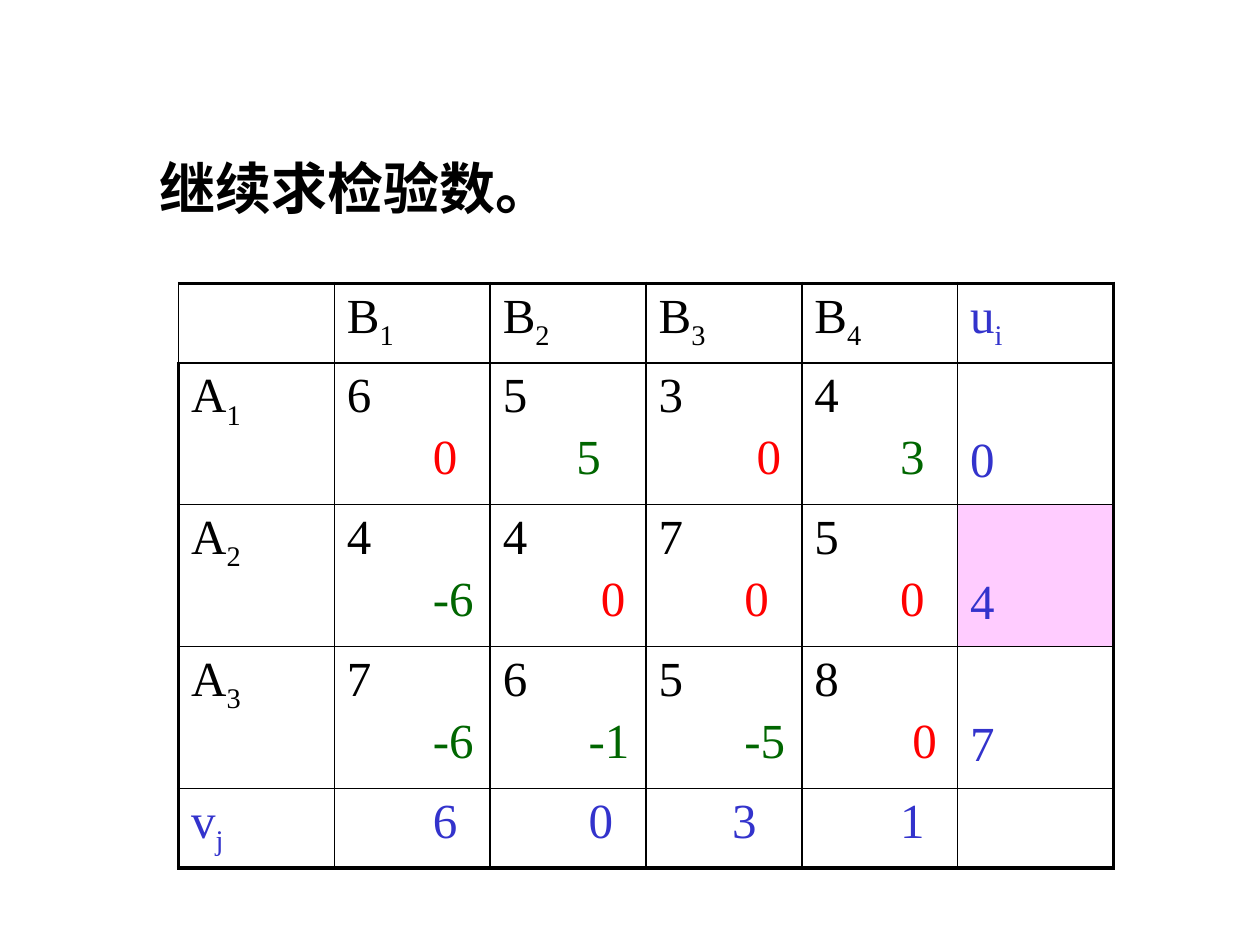
from lxml.etree import SubElement
from pptx import Presentation
from pptx.dml.color import RGBColor
from pptx.oxml.ns import qn
from pptx.util import Cm, Pt

BLACK, RED, GREEN, BLUE, PINK = "000000", "FF0000", "006600", "3333CC", "FFCCFF"
TITLE = "继续求检验数。"
DESTINATIONS = ["1", "2", "3", "4"]
# Each entry: cost, reduced cost, indent steps
SOURCES = [
    ("1", [("6", "0", 7), ("5", "5", 6), ("3", "0", 8), ("4", "3", 7)], "0"),
    ("2", [("4", "-6", 7), ("4", "0", 8), ("7", "0", 7), ("5", "0", 7)], "4"),
    ("3", [("7", "-6", 7), ("6", "-1", 7), ("5", "-5", 7), ("8", "0", 8)], "7"),
]
POTENTIALS = [("6", 7), ("0", 7), ("3", 6), ("1", 7)]
HIGHLIGHTED = (2, 5)
ROW_HEIGHTS = [1.44, 2.86, 2.86, 2.86, 1.44]
COLUMN_COUNT, TABLE_WIDTH = 6, 18.85
INDENT_STEP = 0.247
LINE_GAP = 0.16
SECOND_LINE_MARGIN = 1.43
THIN, THICK = 1, 2.25


def color(value):
    return RGBColor.from_string(value)


def add_run(paragraph, text, ink, size=28, **formats):
    run = paragraph.add_run()
    run.text = text
    run.font.color.rgb = color(ink)
    for name, value in {"name": "Times New Roman", "size": Pt(size), **formats}.items():
        setattr(run.font, name, value)
    return run


def add_symbol(cell, letter, index, ink=BLACK):
    paragraph = cell.text_frame.paragraphs[0]
    add_run(paragraph, letter, ink)
    subscript = add_run(paragraph, index, ink)
    subscript.font._element.set("baseline", "-25000")


def add_indented(paragraph, text, ink, steps):
    paragraph._p.get_or_add_pPr().set("marL", str(Cm(steps * INDENT_STEP)))
    add_run(paragraph, text, ink)


def set_borders(cell, row, column):
    last_row, last_column = len(ROW_HEIGHTS) - 1, COLUMN_COUNT - 1
    thick_sides = {
        "L": column == 0 and row > 0,
        "R": column == last_column,
        "T": row == 0,
        "B": row == last_row,
    }
    properties = cell._tc.get_or_add_tcPr()
    for side, is_thick in thick_sides.items():
        width = Pt(THICK if is_thick else THIN)
        line = SubElement(properties, qn(f"a:ln{side}"), w=str(width))
        fill = SubElement(line, qn("a:solidFill"))
        SubElement(fill, qn("a:srgbClr"), val=BLACK)


def add_title(slide):
    box = slide.shapes.add_textbox(Cm(2.97), Cm(2.97), Cm(19.69), Cm(1.6))
    box.text_frame.word_wrap = True
    add_run(box.text_frame.paragraphs[0], TITLE, BLACK, 32, bold=True)


def add_grid(slide):
    frame = slide.shapes.add_table(
        len(ROW_HEIGHTS), COLUMN_COUNT,
        Cm(3.6), Cm(5.71), Cm(TABLE_WIDTH), Cm(sum(ROW_HEIGHTS)))
    table = frame.table
    table.first_row = table.horz_banding = False
    for column in table.columns:
        column.width = Cm(TABLE_WIDTH / COLUMN_COUNT)
    for row, height in enumerate(ROW_HEIGHTS):
        table.rows[row].height = Cm(height)
        for column in range(COLUMN_COUNT):
            cell = table.cell(row, column)
            set_borders(cell, row, column)
            if (row, column) == HIGHLIGHTED:
                cell.fill.solid()
                cell.fill.fore_color.rgb = color(PINK)
            else:
                cell.fill.background()
    return table


def fill_grid(table):
    last_row, last_column = len(ROW_HEIGHTS) - 1, COLUMN_COUNT - 1
    for column, index in enumerate(DESTINATIONS, 1):
        add_symbol(table.cell(0, column), "B", index)
    add_symbol(table.cell(0, last_column), "u", "i", BLUE)
    add_symbol(table.cell(last_row, 0), "v", "j", BLUE)
    for row, (index, entries, potential) in enumerate(SOURCES, 1):
        add_symbol(table.cell(row, 0), "A", index)
        for column, (cost, reduced, steps) in enumerate(entries, 1):
            text_frame = table.cell(row, column).text_frame
            add_run(text_frame.paragraphs[0], cost, BLACK)
            paragraph = text_frame.add_paragraph()
            paragraph.space_before = Cm(LINE_GAP)
            add_indented(paragraph, reduced, RED if reduced == "0" else GREEN, steps)
        cell = table.cell(row, last_column)
        cell.margin_top = Cm(SECOND_LINE_MARGIN)
        add_run(cell.text_frame.paragraphs[0], potential, BLUE)
    for column, (potential, steps) in enumerate(POTENTIALS, 1):
        paragraph = table.cell(last_row, column).text_frame.paragraphs[0]
        add_indented(paragraph, potential, BLUE, steps)


def main():
    presentation = Presentation()
    presentation.slide_width, presentation.slide_height = Cm(25.4), Cm(19.05)
    slide = presentation.slides.add_slide(presentation.slide_layouts[6])
    add_title(slide)
    fill_grid(add_grid(slide))
    presentation.save("out.pptx")


if __name__ == "__main__":
    main()
